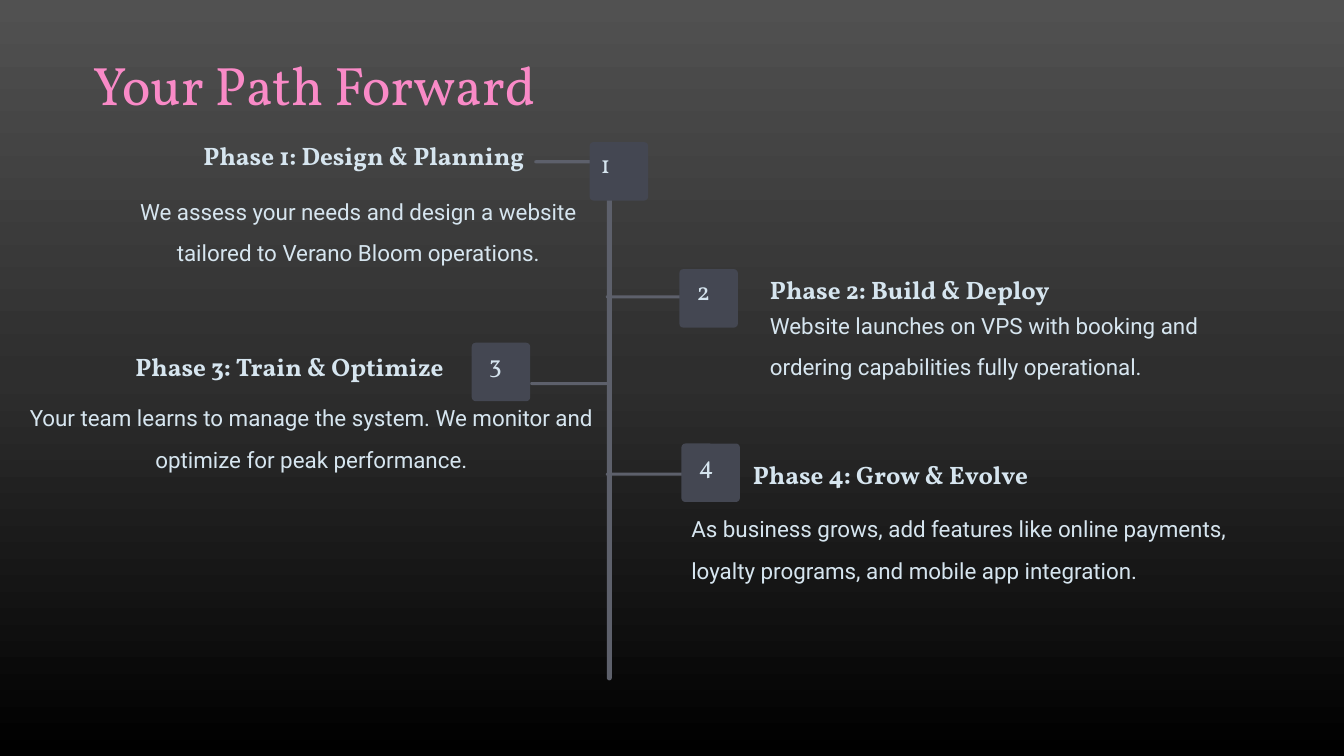
"""Build the four-phase "Your Path Forward" timeline slide."""
from copy import deepcopy
from dataclasses import dataclass

from pptx import Presentation
from pptx.dml.color import RGBColor
from pptx.enum.shapes import MSO_SHAPE
from pptx.enum.text import MSO_ANCHOR, PP_ALIGN
from pptx.oxml.ns import qn
from pptx.util import Inches, Length, Pt

ROUNDED = MSO_SHAPE.ROUNDED_RECTANGLE
TOP = MSO_ANCHOR.TOP
LEFT, CENTER, RIGHT = PP_ALIGN.LEFT, PP_ALIGN.CENTER, PP_ALIGN.RIGHT

COLUMNS, ROWS = 40, 22.5
SLIDE_WIDTH, SLIDE_HEIGHT = Inches(13.33), Inches(7.5)
BADGE_SIDE = 1.74
ROD_LENGTH, ROD_THICKNESS = 2.31, 0.09
BODY_HEIGHT = 2.7
SERIF, SANS = "Vollkorn", "Roboto"
COLORS = {
    "title": "F98AC7",
    "text": "D6E5EF",
    "badge": "444752",
    "line": "5D606B",
}
BACKDROP = {0: "515151", 0.5: "2E2E2E", 1: "000000"}


@dataclass(frozen=True)
class Box:
    column: float
    row: float
    width: float
    height: float

    def lengths(self) -> tuple[Length, ...]:
        column_width, row_height = SLIDE_WIDTH / COLUMNS, SLIDE_HEIGHT / ROWS
        return (
            Length(round(self.column * column_width)),
            Length(round(self.row * row_height)),
            Length(round(self.width * column_width)),
            Length(round(self.height * row_height)),
        )


@dataclass(frozen=True)
class Phase:
    number: str
    heading: str
    body: str
    rod_at: tuple[float, float]
    badge_at: tuple[float, float]
    heading_box: Box
    body_box: Box
    heading_align: PP_ALIGN = LEFT
    body_align: PP_ALIGN = LEFT
    number_inset: float = 0.16


SPINE = Box(18.06, 4.77, 0.15, 15.48)
TITLE_BOX = Box(2.76, 1.2, 34.5, 2.04)
PHASES = [
    Phase("1", "Phase 1: Design & Planning",
          "We assess your needs and design a website tailored to Verano Bloom operations.",
          (15.9, 4.77), (17.55, 4.23),
          Box(3.48, 3.81, 12.42, 1.44), Box(3.75, 5.31, 13.83, BODY_HEIGHT),
          RIGHT, CENTER, 0.1),
    Phase("2", "Phase 2: Build & Deploy",
          "Website launches on VPS with booking and ordering capabilities fully operational.",
          (18.03, 8.79), (20.22, 8.01),
          Box(22.62, 7.8, 10.35, 1.35), Box(22.62, 8.7, 13.65, BODY_HEIGHT)),
    Phase("3", "Phase 3: Train & Optimize",
          "Your team learns to manage the system. We monitor and optimize for peak performance.",
          (15.78, 11.37), (14.04, 10.2),
          Box(3.66, 10.08, 9.84, 1.35), Box(0.57, 11.46, 17.4, BODY_HEIGHT),
          RIGHT, CENTER),
    Phase("4", "Phase 4: Grow & Evolve",
          "As business grows, add features like online payments, loyalty programs, "
          "and mobile app integration.",
          (18.03, 14.07), (20.28, 13.2),
          Box(22.11, 13.29, 10.56, 1.41), Box(20.28, 14.76, 17.04, BODY_HEIGHT)),
]


def write(shape, text: str, *, size: float = 18, font: str = SERIF, color: str = "text",
          bold: bool = False, align: PP_ALIGN = LEFT, spacing: float | None = None,
          insets: tuple[float, float] = (0.1, 0.05)) -> None:
    frame = shape.text_frame
    frame.word_wrap = True
    frame.vertical_anchor = TOP
    frame.margin_left, frame.margin_right = Inches(insets[0]), Inches(min(insets[0], 0.1))
    frame.margin_top = frame.margin_bottom = Inches(insets[1])
    paragraph = frame.paragraphs[0]
    paragraph.alignment = align
    if spacing is not None:
        paragraph.line_spacing = Pt(spacing)
    run = paragraph.add_run()
    run.text = text
    run.font.name, run.font.size, run.font.bold = font, Pt(size), bold
    run.font.color.rgb = RGBColor.from_string(COLORS[color])


def add_block(slide, box: Box, color: str, rounding: float):
    block = slide.shapes.add_shape(ROUNDED, *box.lengths())
    block.adjustments[0] = rounding
    block.fill.solid()
    block.fill.fore_color.rgb = RGBColor.from_string(COLORS[color])
    block.line.fill.background()
    block.shadow.inherit = False
    return block


def paint_backdrop(slide) -> None:
    fill = slide.background.fill
    fill.gradient()
    fill.gradient_angle = 270
    stop_list = slide.element.find(".//" + qn("a:gsLst"))
    stop_list.insert(1, deepcopy(stop_list[0]))
    for stop, (position, color) in zip(fill.gradient_stops, BACKDROP.items()):
        stop.position = position
        stop.color.rgb = RGBColor.from_string(color)


def add_title(slide) -> None:
    title = slide.shapes.title
    title.left, title.top, title.width, title.height = TITLE_BOX.lengths()
    write(title, "Your Path Forward", size=38.7, color="title", spacing=54, insets=(0, 0))


def add_timeline(slide) -> None:
    for phase in PHASES:
        add_block(slide, Box(*phase.rod_at, ROD_LENGTH, ROD_THICKNESS), "line", 0.5)
    add_block(slide, SPINE, "line", 0.5)
    for phase in PHASES:
        badge = add_block(slide, Box(*phase.badge_at, BADGE_SIDE, BADGE_SIDE), "badge", 0.067)
        write(badge, phase.number, insets=(phase.number_inset, 0.05))


def add_phase_text(slide, phase: Phase) -> None:
    heading = slide.shapes.add_textbox(*phase.heading_box.lengths())
    write(heading, phase.heading, bold=True, align=phase.heading_align, spacing=27)
    body = slide.shapes.add_textbox(*phase.body_box.lengths())
    write(body, phase.body, size=16, font=SANS, align=phase.body_align, spacing=29.5)


def main() -> None:
    deck = Presentation()
    deck.slide_width, deck.slide_height = SLIDE_WIDTH, SLIDE_HEIGHT
    slide = deck.slides.add_slide(deck.slide_layouts.get_by_name("Title Only"))
    paint_backdrop(slide)
    add_title(slide)
    add_timeline(slide)
    for phase in PHASES:
        add_phase_text(slide, phase)
    deck.save("out.pptx")


if __name__ == "__main__":
    main()
